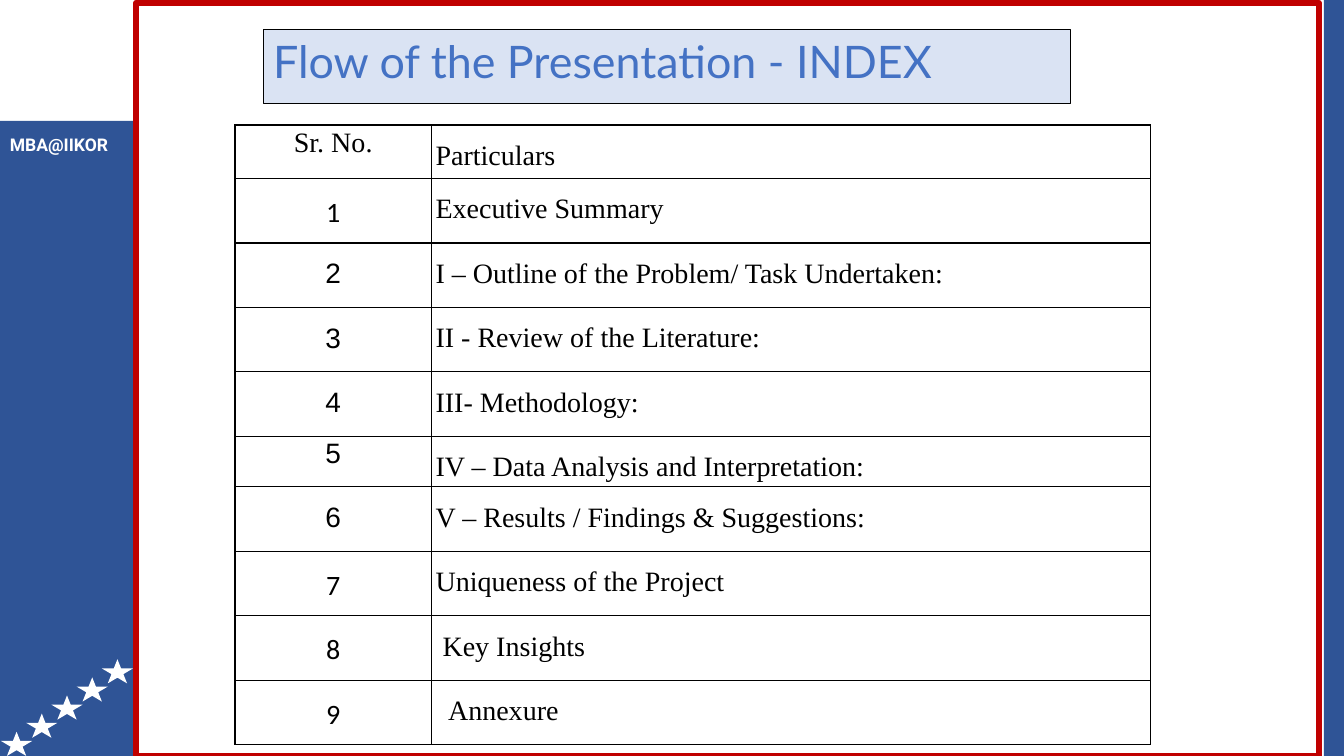
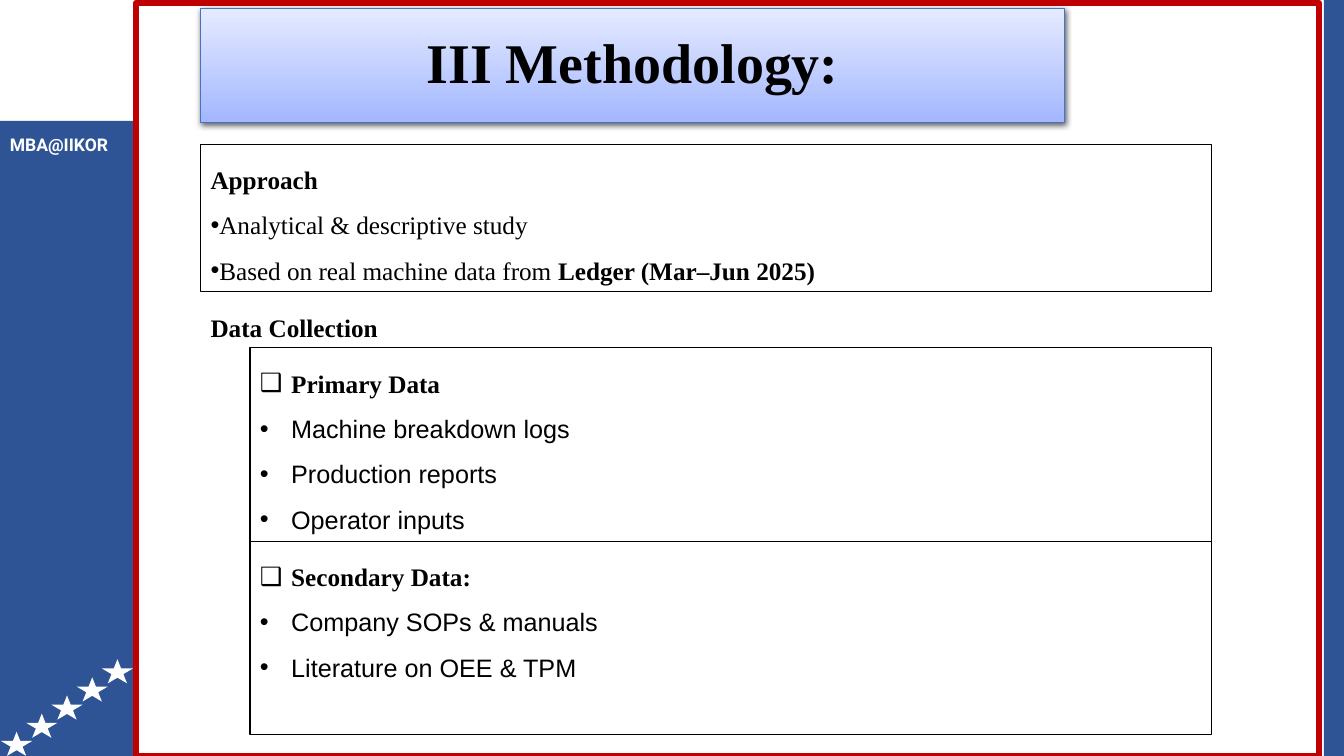
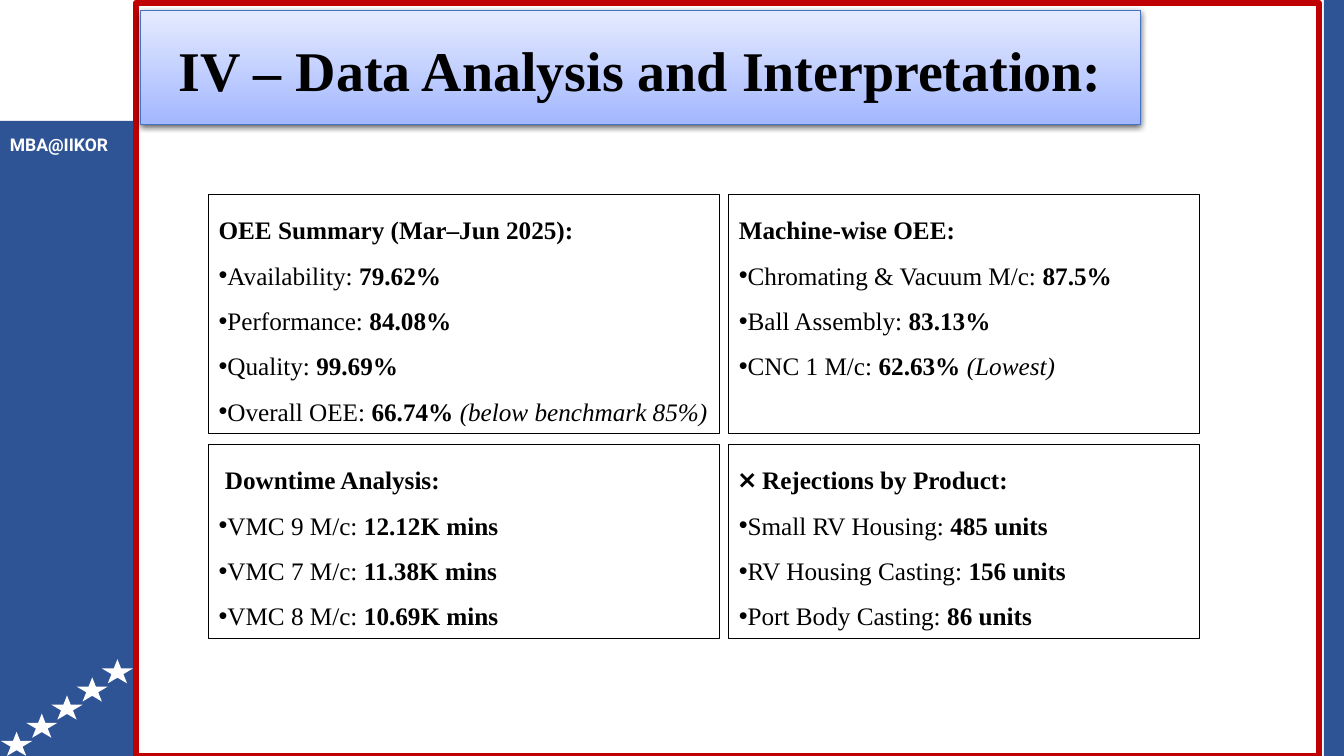
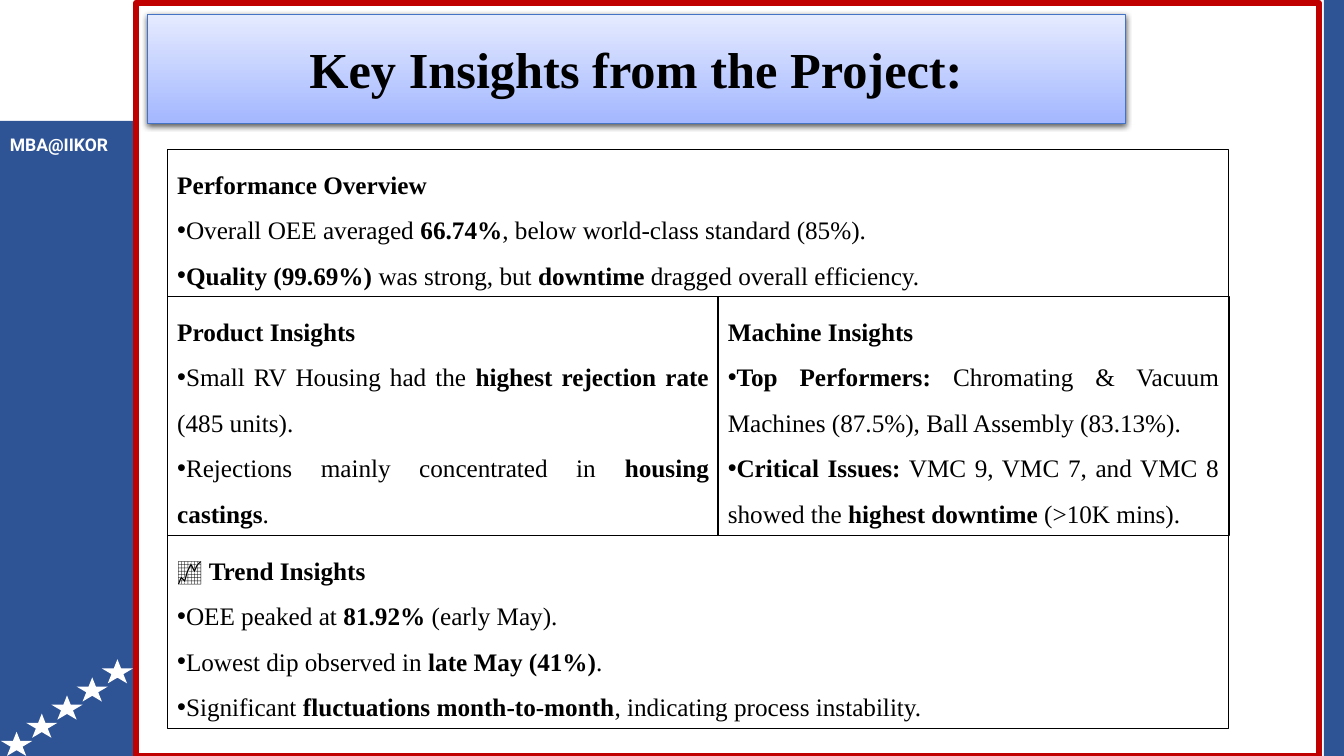
from dataclasses import dataclass
from typing import NamedTuple

from lxml.etree import SubElement
from pptx import Presentation
from pptx.dml.color import RGBColor
from pptx.enum.shapes import MSO_SHAPE as Preset
from pptx.enum.text import MSO_ANCHOR as Anchor, PP_ALIGN as Align
from pptx.oxml.ns import qn
from pptx.util import Inches, Pt


@dataclass(frozen=True)
class Theme:
    blue: str = "2F5496"
    red: str = "C00000"
    white: str = "FFFFFF"
    black: str = "000000"
    accent: str = "4472C4"
    pale: str = "DAE3F3"
    banner_top: str = "E5EBFF"
    banner_bottom: str = "A4B7FF"
    serif: str = "Times New Roman"
    sans: str = "Arial"
    digits: str = "Calibri"
    heading: str = "Lato"
    label: str = "Roboto"
    label_size: float = 12.5
    body_size: float = 18
    table_size: float = 20
    index_size: float = 32
    title_size: float = 40
    long_title_size: float = 36
    line_spacing: float = 1.5
    hairline: float = 0.75


THEME = Theme()


class Box(NamedTuple):
    left: float
    top: float
    width: float
    height: float

    def lengths(self) -> list:
        return [Inches(value) for value in self]


class Line(NamedTuple):
    """A paragraph; *stars* mark bold and ~tildes~ mark italic."""
    text: str
    bullet: str = ""
    indent: float = 0
    font: str = THEME.serif


class Panel(NamedTuple):
    box: Box
    lines: list
    align: Align = Align.JUSTIFY
    border: str = THEME.black


class Banner(NamedTuple):
    text: str
    box: Box
    size: float = THEME.title_size
    spacing: float = 1.0


class IndexRow(NamedTuple):
    number: str
    topic: str
    number_font: str = THEME.sans
    height: float = 0.64
    number_spacing: float = THEME.line_spacing
    gaps: tuple = (0, 0)


def rgb(value: str) -> RGBColor:
    return RGBColor.from_string(value)


def style(font, name: str, size: float, color: str, bold: bool = False) -> None:
    font.name, font.size, font.bold = name, Pt(size), bold
    font.color.rgb = rgb(color)


def add_shape(slide, preset, box: Box, fill: str = "", line: str = "",
              weight: float = THEME.hairline):
    shape = slide.shapes.add_shape(preset, *box.lengths())
    shape.shadow.inherit = False
    if fill:
        shape.fill.solid()
        shape.fill.fore_color.rgb = rgb(fill)
    else:
        shape.fill.background()
    if line:
        shape.line.color.rgb = rgb(line)
        shape.line.width = Pt(weight)
    else:
        shape.line.fill.background()
    return shape


def add_frame(slide) -> None:
    """Draw the side bands, stars, label and red border of every slide."""
    for band in (Box(0, 1.2, 1.35, 6.3), Box(13.13, 0, 0.21, 7.5)):
        add_shape(slide, Preset.RECTANGLE, band, THEME.blue)
    for step in range(5):
        star = Box(0.01 + 0.25 * step, 7.26 - 0.18 * step, 0.31, 0.24)
        add_shape(slide, Preset.STAR_5_POINT, star, THEME.white)
    label = slide.shapes.add_textbox(*Box(0, 1.28, 1.36, 0.31).lengths())
    label.text_frame.text = "MBA@IIKOR"
    style(label.text_frame.paragraphs[0].runs[0].font, THEME.label,
          THEME.label_size, THEME.white, bold=True)
    add_shape(slide, Preset.RECTANGLE, Box(1.35, 0.03, 11.73, 7.47),
              THEME.white, THEME.red, 4.5)


def add_drop_shadow(shape) -> None:
    effects = shape._element.spPr.find(qn("a:effectLst"))
    shadow = SubElement(effects, qn("a:outerShdw"), blurRad="57150", dist="19050",
                        dir="5400000", algn="ctr", rotWithShape="0")
    color = SubElement(shadow, qn("a:srgbClr"), val=THEME.black)
    SubElement(color, qn("a:alpha"), val="63000")


def add_banner(slide, banner: Banner) -> None:
    shape = add_shape(slide, Preset.RECTANGLE, banner.box, line=THEME.accent, weight=0.5)
    shape.fill.gradient()
    shape.fill.gradient_angle = 270
    colors = (THEME.banner_top, THEME.banner_bottom)
    for stop, position, color in zip(shape.fill.gradient_stops, (0, 1), colors):
        stop.position = position
        stop.color.rgb = rgb(color)
    add_drop_shadow(shape)
    frame = shape.text_frame
    frame.word_wrap = True
    frame.vertical_anchor = Anchor.MIDDLE
    frame.text = banner.text
    title = frame.paragraphs[0]
    title.alignment, title.line_spacing = Align.CENTER, banner.spacing
    style(title.runs[0].font, THEME.serif, banner.size, THEME.black, bold=True)


def set_bullet(paragraph, char: str, indent: float) -> None:
    properties = paragraph._p.get_or_add_pPr()
    properties.set("marL", str(Inches(indent)))
    properties.set("indent", str(-Inches(indent)))
    SubElement(properties, qn("a:buFont"), typeface=THEME.sans)
    SubElement(properties, qn("a:buChar"), char=char)


def write_line(paragraph, line: Line, align: Align) -> None:
    paragraph.alignment, paragraph.line_spacing = align, THEME.line_spacing
    if line.bullet:
        set_bullet(paragraph, line.bullet, line.indent)
    for bold_index, chunk in enumerate(line.text.split("*")):
        for italic_index, piece in enumerate(chunk.split("~")):
            if piece:
                run = paragraph.add_run()
                run.text = piece
                style(run.font, line.font, THEME.body_size, THEME.black,
                      bold=bold_index % 2 == 1)
                run.font.italic = italic_index % 2 == 1


def add_panel(slide, panel: Panel) -> None:
    shape = add_shape(slide, Preset.RECTANGLE, panel.box, line=panel.border)
    frame = shape.text_frame
    frame.word_wrap = True
    frame.vertical_anchor = Anchor.TOP
    for position, line in enumerate(panel.lines):
        paragraph = frame.add_paragraph() if position else frame.paragraphs[0]
        write_line(paragraph, line, panel.align)


def points(heading: str, *items: str) -> list:
    """A heading followed by flush bullets."""
    return [Line(heading)] + [Line(item, "•") for item in items]


def checklist(heading: str, *items: str) -> list:
    """A box-marked heading followed by hanging bullets."""
    return [Line(heading, "❑", 0.31)] + [
        Line(item, "•", 0.31, THEME.sans) for item in items]


def fill_cell(cell, text: str, font: str, align: Align, spacing: float,
              gaps: tuple) -> None:
    cell.margin_left = cell.margin_right = Inches(0.04)
    cell.margin_top = cell.margin_bottom = 0
    properties = cell._tc.get_or_add_tcPr()
    for side in ("a:lnL", "a:lnR", "a:lnT", "a:lnB"):
        edge = SubElement(properties, qn(side), w=str(Pt(1)))
        SubElement(SubElement(edge, qn("a:solidFill")), qn("a:srgbClr"), val=THEME.black)
    cell.fill.background()
    cell.text_frame.text = text
    paragraph = cell.text_frame.paragraphs[0]
    paragraph.alignment, paragraph.line_spacing = align, spacing
    paragraph.space_before, paragraph.space_after = (Pt(gap) for gap in gaps)
    style(paragraph.runs[0].font, font, THEME.table_size, THEME.black)


def add_index(slide, rows: list) -> None:
    widths = (1.95, 7.13)
    box = Box(2.33, 1.24, sum(widths), sum(row.height for row in rows))
    table = slide.shapes.add_table(len(rows), len(widths), *box.lengths()).table
    table.first_row = table.horz_banding = False
    for column, width in zip(table.columns, widths):
        column.width = Inches(width)
    for position, row in enumerate(rows):
        table.rows[position].height = Inches(row.height)
        fill_cell(table.cell(position, 0), row.number, row.number_font,
                  Align.CENTER, row.number_spacing, row.gaps)
        fill_cell(table.cell(position, 1), row.topic, THEME.serif,
                  Align.LEFT, THEME.line_spacing, row.gaps)


def add_index_heading(slide) -> None:
    heading = add_shape(slide, Preset.RECTANGLE, Box(2.61, 0.29, 8.01, 0.74),
                        THEME.pale, THEME.black)
    frame = heading.text_frame
    frame.word_wrap = True
    frame.vertical_anchor = Anchor.TOP
    frame.text = "Flow of the Presentation - INDEX"
    frame.paragraphs[0].alignment = Align.LEFT
    style(frame.paragraphs[0].runs[0].font, THEME.heading, THEME.index_size, THEME.accent)


INDEX = [
    IndexRow("Sr. No.", "Particulars", THEME.serif, 0.53, 1.07, (12, 8)),
    IndexRow("1", "Executive Summary", THEME.digits),
    IndexRow("2", "I – Outline of the Problem/ Task Undertaken:"),
    IndexRow("3", "II - Review of the Literature:"),
    IndexRow("4", "III- Methodology:"),
    IndexRow("5", "IV – Data Analysis and Interpretation:", height=0.46, number_spacing=1.07),
    IndexRow("6", "V – Results / Findings & Suggestions:"),
    IndexRow("7", "Uniqueness of the Project", THEME.digits),
    IndexRow("8", " Key Insights", THEME.digits),
    IndexRow("9", "  Annexure", THEME.digits),
]

METHODOLOGY = [
    Panel(Box(2.48, 3.45, 9.54, 1.92), checklist(
        "*Primary Data*", "Machine breakdown logs", "Production reports",
        "Operator inputs")),
    Panel(Box(2.48, 5.37, 9.54, 1.92), checklist(
        "*Secondary Data:*", "Company SOPs & manuals", "Literature on OEE & TPM")),
    Panel(Box(1.99, 2.9, 10.03, 0.5), points("*Data Collection*"), border=THEME.white),
    Panel(Box(1.99, 1.43, 10.03, 1.46), points(
        "*Approach*", "Analytical & descriptive study",
        "Based on real machine data from *Ledger (Mar–Jun 2025)*")),
]

ANALYSIS = [
    Panel(Box(2.07, 1.93, 5.07, 2.37), points(
        "*OEE Summary (Mar–Jun 2025):*", "Availability: *79.62%*",
        "Performance: *84.08%*", "Quality: *99.69%*",
        "Overall OEE: *66.74% *~(below benchmark 85%)~"), Align.LEFT),
    Panel(Box(7.23, 1.93, 4.67, 2.37), points(
        "*Machine-wise OEE:*", "Chromating & Vacuum M/c: *87.5%*",
        "Ball Assembly: *83.13%*", "CNC 1 M/c: *62.63% *~(Lowest)~"), Align.LEFT),
    Panel(Box(2.07, 4.41, 5.07, 1.92), points(
        " *Downtime Analysis:*", "VMC 9 M/c: *12.12K mins*",
        "VMC 7 M/c: *11.38K mins*", "VMC 8 M/c: *10.69K mins*"), Align.LEFT),
    Panel(Box(7.23, 4.41, 4.67, 1.92), points(
        "❌ *Rejections by Product:*", "Small RV Housing: *485 units*",
        "RV Housing Casting: *156 units*", "Port Body Casting: *86 units*"), Align.LEFT),
]

INSIGHTS = [
    Panel(Box(1.66, 1.48, 10.53, 1.46), points(
        "*Performance Overview*",
        "Overall OEE averaged *66.74%*, below world-class standard (85%).",
        "*Quality (99.69%)* was strong, but *downtime* dragged overall efficiency.")),
    Panel(Box(1.66, 2.94, 5.47, 2.37), points(
        "*Product Insights*",
        "Small RV Housing had the *highest rejection rate* (485 units).",
        "Rejections mainly concentrated in *housing castings*.")),
    Panel(Box(1.66, 5.31, 10.53, 1.92), points(
        "📈 *Trend Insights*", "OEE peaked at *81.92%* (early May).",
        "Lowest dip observed in *late May (41%)*.",
        "Significant *fluctuations month-to-month*, indicating process instability.")),
    Panel(Box(7.12, 2.94, 5.07, 2.37), points(
        "*Machine Insights*",
        "*Top Performers: *Chromating & Vacuum Machines (87.5%), Ball Assembly (83.13%).",
        "*Critical Issues:* VMC 9, VMC 7, and VMC 8 showed the *highest downtime* "
        "(>10K mins).")),
]

CONTENT_SLIDES = [
    (Banner("III Methodology:", Box(1.99, 0.08, 8.57, 1.13), spacing=0.9), METHODOLOGY),
    (Banner("IV – Data Analysis and Interpretation:", Box(1.39, 0.1, 9.92, 1.13),
            spacing=1.07), ANALYSIS),
    (Banner("Key Insights from the Project:", Box(1.46, 0.14, 9.7, 1.08),
            THEME.long_title_size), INSIGHTS),
]


def main() -> None:
    deck = Presentation()
    deck.slide_width, deck.slide_height = Inches(13.33), Inches(7.5)
    blank = deck.slide_layouts[6]

    index = deck.slides.add_slide(blank)
    add_frame(index)
    add_index_heading(index)
    add_index(index, INDEX)

    for banner, panels in CONTENT_SLIDES:
        slide = deck.slides.add_slide(blank)
        add_frame(slide)
        add_banner(slide, banner)
        for panel in panels:
            add_panel(slide, panel)

    deck.save("out.pptx")


if __name__ == "__main__":
    main()
